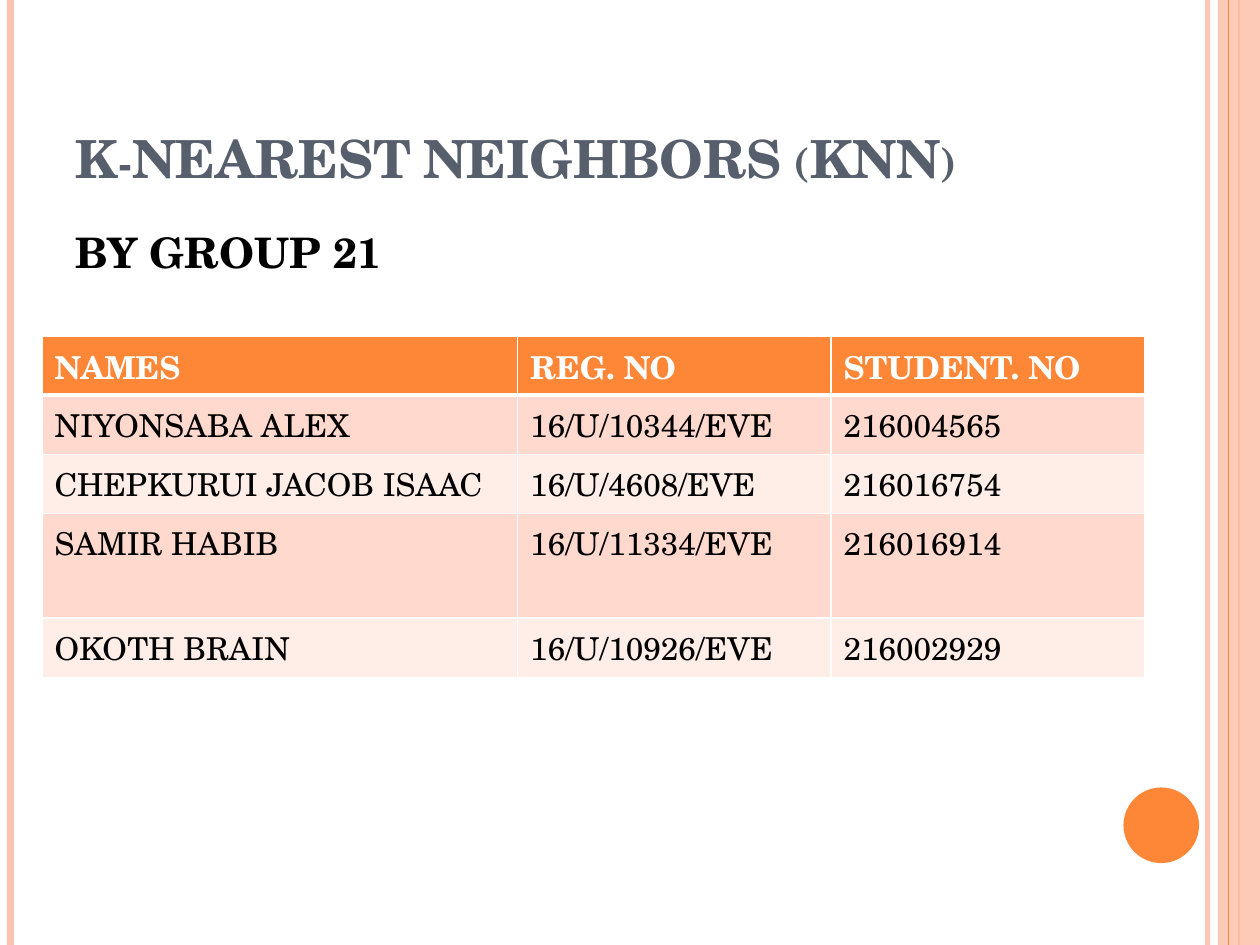
from dataclasses import dataclass

from lxml.etree import SubElement
from pptx import Presentation
from pptx.dml.color import RGBColor as Color
from pptx.enum.shapes import MSO_CONNECTOR as Connector, MSO_SHAPE as Preset
from pptx.enum.text import MSO_ANCHOR as Anchor
from pptx.oxml.ns import qn
from pptx.util import Inches, Pt

COLUMNS, ROWS = 120, 90
WIDTH, HEIGHT = Inches(10), Inches(7.5)


@dataclass(frozen=True)
class Theme:
    font: str = "TeX Gyre Schola"
    accent: str = "FE8637"
    peach: str = "FEC3AE"
    heading: str = "575F6D"
    dark: str = "000000"
    light: str = "FFFFFF"
    bands: tuple = ("FFD9CE", "FFEDE8")
    title_size: int = 30
    subtitle_size: int = 24
    table_size: int = 18
    border: int = 1
    header_border: int = 3


THEME = Theme()
MEMBERS = [
    ("NAMES", "REG. NO", "STUDENT. NO"),
    ("NIYONSABA ALEX", "16/U/10344/EVE", "216004565"),
    ("CHEPKURUI JACOB ISAAC", "16/U/4608/EVE", "216016754"),
    ("SAMIR HABIB", "16/U/11334/EVE", "216016914"),
    ("OKOTH BRAIN", "16/U/10926/EVE", "216002929"),
]
MEMBER_COLUMNS = (45.3, 29.85, 29.85)
MEMBER_ROWS = (5.64, 5.64, 5.64, 9.96, 5.64)


def across(columns):
    return round(WIDTH * columns / COLUMNS)


def down(rows):
    return round(HEIGHT * rows / ROWS)


def place(left, top, width, height):
    return across(left), down(top), across(width), down(height)


def set_opacity(element, percent):
    color = next(element.iter(qn("a:srgbClr")))
    SubElement(color, qn("a:alpha")).set("val", str(percent * 1000))


def style_paragraph(paragraph, size, color, bold):
    font = paragraph.font
    font.name, font.size, font.bold = THEME.font, Pt(size), bold
    font.color.rgb = Color.from_string(color)


def add_stripe(slide, column, color, width, opacity=100):
    stripe = slide.shapes.add_connector(
        Connector.STRAIGHT, across(column), 0, across(column), HEIGHT)
    stripe.line.color.rgb = Color.from_string(color)
    stripe.line.width = Pt(width)
    properties = stripe.line._get_or_add_ln().getparent()
    SubElement(properties, qn("a:effectLst"))
    if opacity < 100:
        set_opacity(properties, opacity)


def add_filled_shape(slide, preset, box, color, opacity=100):
    shape = slide.shapes.add_shape(preset, *place(*box))
    shape.shadow.inherit = False
    shape.fill.solid()
    shape.fill.fore_color.rgb = Color.from_string(color)
    shape.line.fill.background()
    if opacity < 100:
        set_opacity(shape._element.spPr, opacity)


def add_text(slide, box, text, size, color, anchor=Anchor.TOP):
    frame = slide.shapes.add_textbox(*place(*box)).text_frame
    frame.word_wrap = True
    frame.vertical_anchor = anchor
    paragraph = frame.paragraphs[0]
    paragraph.add_run().text = text
    style_paragraph(paragraph, size, color, True)
    return paragraph


def set_borders(cell, widths):
    properties = cell._tc.get_or_add_tcPr()
    for side, width in widths.items():
        line = SubElement(properties, qn(f"a:ln{side}"), w=str(Pt(width)))
        fill = SubElement(line, qn("a:solidFill"))
        SubElement(fill, qn("a:srgbClr"), val=THEME.light)


def style_cell(cell, text, row):
    header = row == 0
    widths = dict.fromkeys("LRTB", THEME.border)
    if row < 2:
        widths["B" if header else "T"] = THEME.header_border
    set_borders(cell, widths)
    cell.fill.solid()
    fill = THEME.accent if header else THEME.bands[(row - 1) % 2]
    cell.fill.fore_color.rgb = Color.from_string(fill)
    cell.text = text
    color = THEME.light if header else THEME.dark
    style_paragraph(cell.text_frame.paragraphs[0], THEME.table_size, color, header)


def add_member_table(slide, left, top):
    box = place(left, top, sum(MEMBER_COLUMNS), sum(MEMBER_ROWS))
    table = slide.shapes.add_table(len(MEMBERS), len(MEMBER_COLUMNS), *box).table
    for column, width in zip(table.columns, MEMBER_COLUMNS):
        column.width = across(width)
    for index, (row, height) in enumerate(zip(table.rows, MEMBER_ROWS)):
        row.height = down(height)
        for cell, text in zip(row.cells, MEMBERS[index]):
            style_cell(cell, text, index)


def add_decoration(slide):
    add_stripe(slide, 115, THEME.peach, 3, opacity=93)
    add_stripe(slide, 1, THEME.peach, 4.5)
    add_stripe(slide, 118, THEME.accent, 1.5)
    add_filled_shape(slide, Preset.RECTANGLE, (116, 0, 4, ROWS), THEME.peach, opacity=87)
    add_stripe(slide, 117, THEME.accent, 0.75)
    add_filled_shape(slide, Preset.OVAL, (107, 75, 7.2, 7.2), THEME.accent)


def main():
    presentation = Presentation()
    presentation.slide_width, presentation.slide_height = WIDTH, HEIGHT
    slide = presentation.slides.add_slide(presentation.slide_layouts[6])
    add_decoration(slide)
    title = add_text(slide, (6, 3.6, 98, 15), "K-NEAREST NEIGHBORS (KNN)",
                     THEME.title_size, THEME.heading, Anchor.BOTTOM)
    title.runs[0]._r.get_or_add_rPr().set("cap", "small")
    subtitle = add_text(slide, (6, 21, 98, 64), "BY GROUP 21",
                        THEME.subtitle_size, THEME.dark)
    subtitle.space_before = Pt(6)
    add_member_table(slide, 4, 32)
    presentation.save("out.pptx")


if __name__ == "__main__":
    main()
